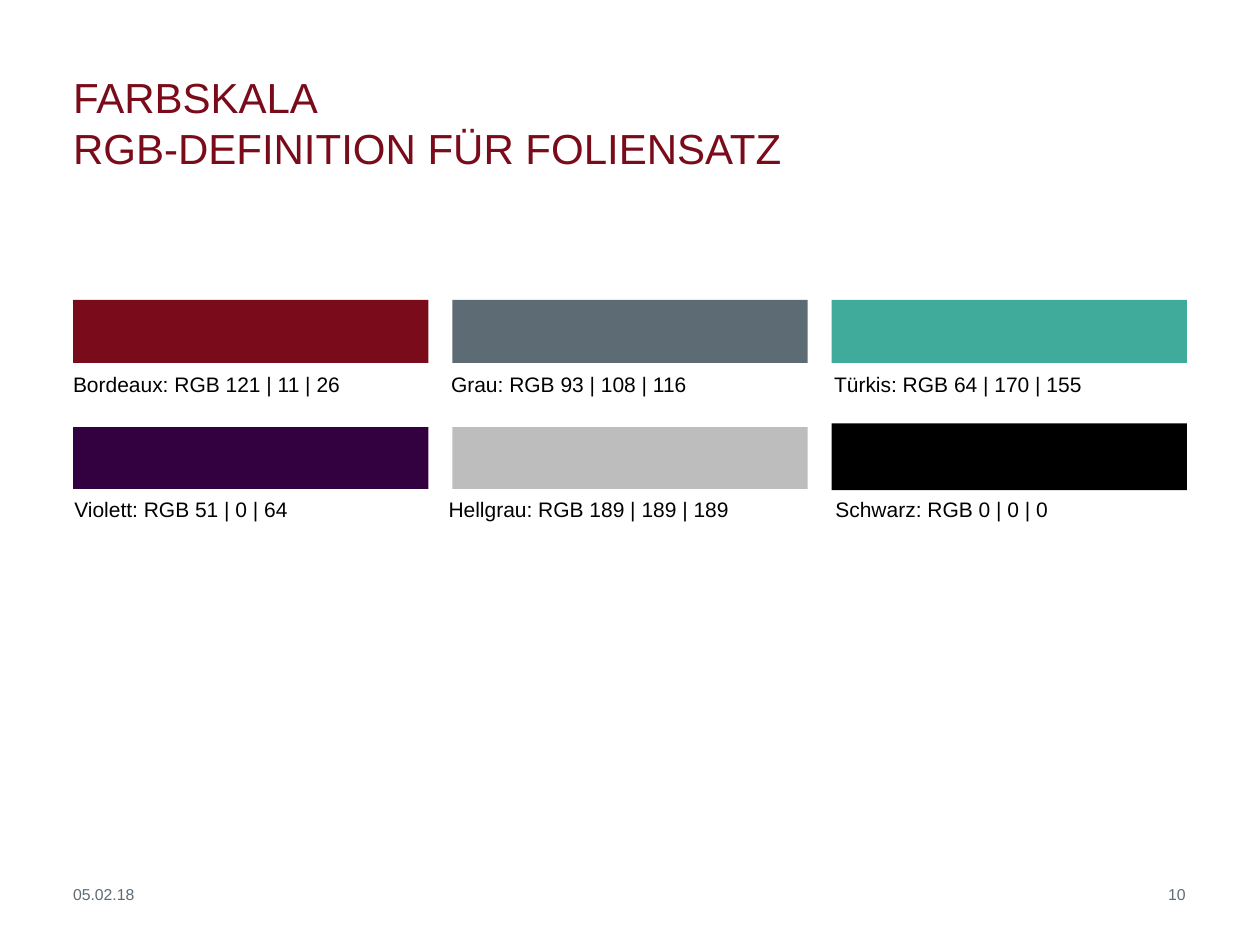
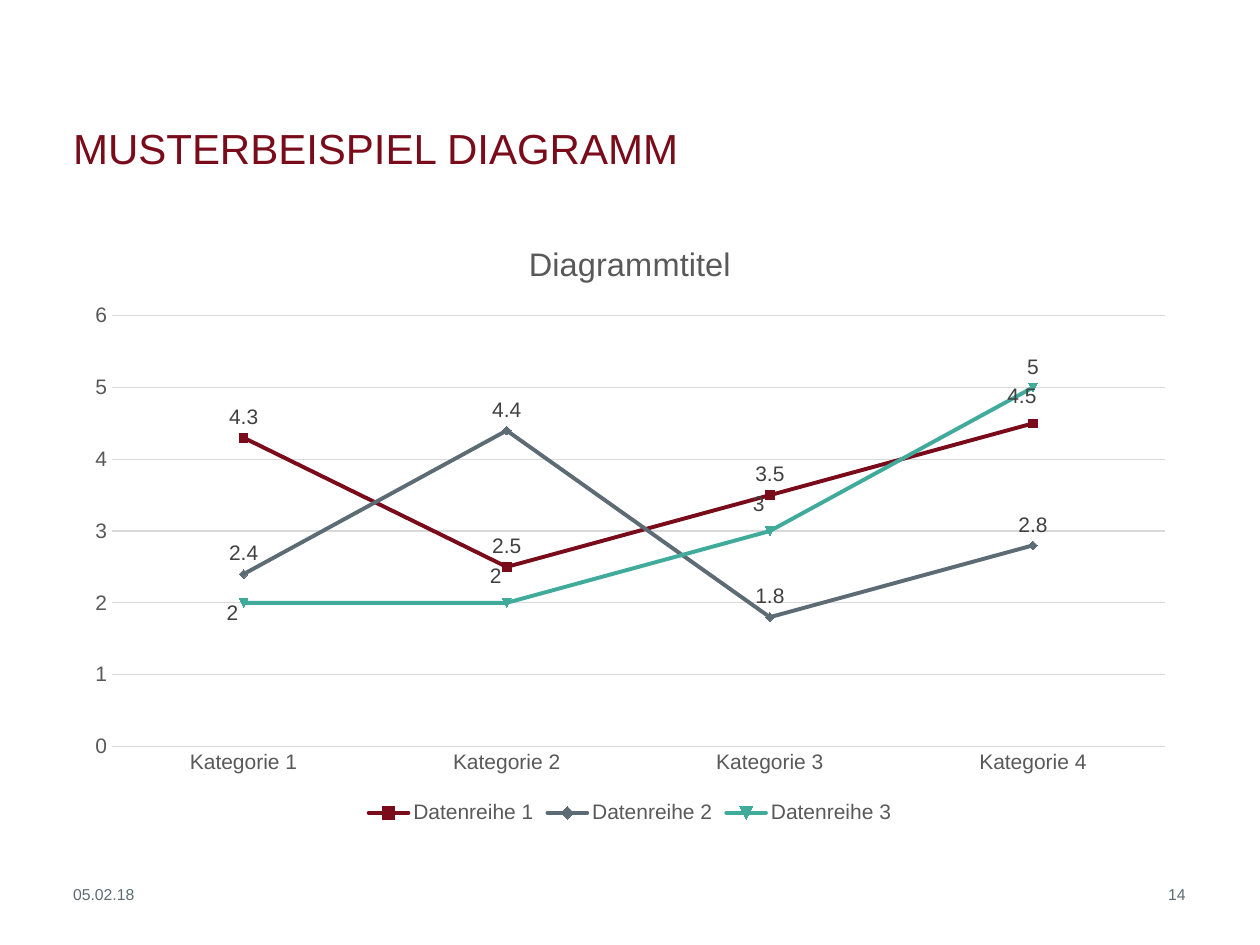
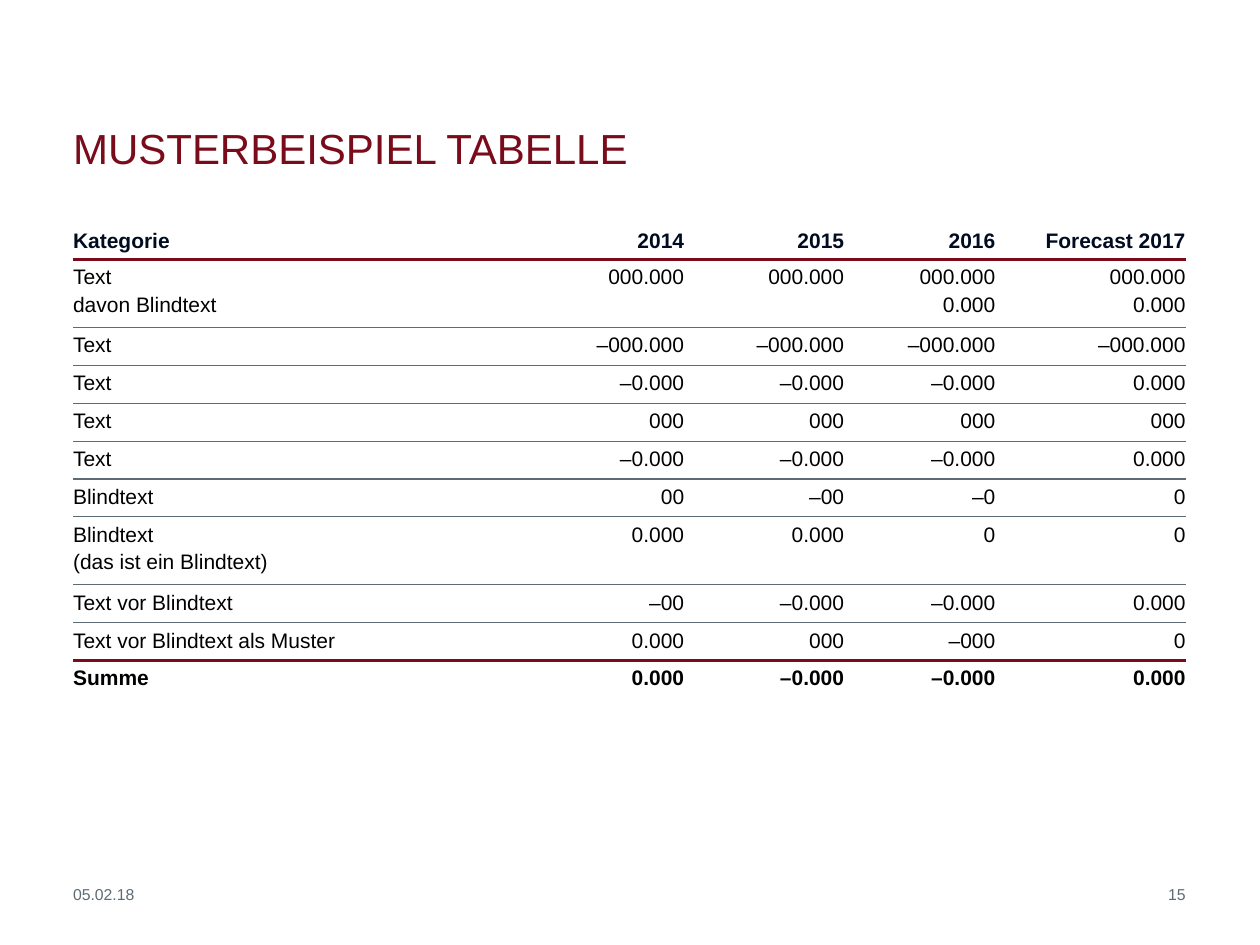
from lxml.etree import SubElement
from pptx import Presentation
from pptx.chart.data import CategoryChartData
from pptx.dml.color import RGBColor
from pptx.enum.chart import XL_CHART_TYPE, XL_LABEL_POSITION, XL_LEGEND_POSITION, XL_TICK_MARK
from pptx.enum.shapes import MSO_SHAPE
from pptx.enum.text import MSO_ANCHOR, PP_ALIGN
from pptx.oxml import parse_xml
from pptx.oxml.ns import nsdecls, qn
from pptx.util import Inches, Pt

# Shared look
HUES = {
    "wine": "790B1A", "slate": "5D6C74", "teal": "40AA9B",
    "plum": "330040", "silver": "BDBDBD", "black": "000000",
    "navy": "000C20", "text": "595959", "label": "404040", "grid": "D9D9D9",
}
FONT = "Arial"
DATE = "05.02.18"
TITLE = (0.58, 0.52, 7.15, 0.85)
STAMP = (0.58, 7.02, 2.09, 0.2)
PAGE = (7.42, 7.02, 1.99, 0.2)


def hue(name):
    return RGBColor.from_string(HUES[name])


def apply(item, values):
    for name, value in values.items():
        setattr(item, name, value)


def style(font, size, color, bold=False):
    apply(font, {"name": FONT, "size": Pt(size), "bold": bold})
    font.color.rgb = hue(color)


def inch(box):
    return [Inches(v) for v in box]


def write(slide, box, text, size, color, anchor=MSO_ANCHOR.TOP, **para):
    frame = slide.shapes.add_textbox(*inch(box)).text_frame
    apply(frame, {"word_wrap": True, "vertical_anchor": anchor, "margin_left": 0,
                  "margin_right": 0, "margin_top": 0, "margin_bottom": 0})
    frame.text = text
    first = frame.paragraphs[0]
    apply(first, para)
    for run in first.runs:
        style(run.font, size, color)
    return first


def start(deck, title, page):
    slide = deck.slides.add_slide(deck.slide_layouts[6])
    write(slide, PAGE, page, 9, "slate", alignment=PP_ALIGN.RIGHT)
    write(slide, STAMP, DATE, 9, "slate")
    write(slide, TITLE, title, 24, "wine", MSO_ANCHOR.BOTTOM)
    return slide


# Colour scale
def swatch(slide, box, color):
    rect = slide.shapes.add_shape(MSO_SHAPE.RECTANGLE, *inch(box))
    rect.shadow.inherit = False
    rect.fill.solid()
    rect.fill.fore_color.rgb = hue(color)
    rect.line.fill.background()


def caption(slide, box, names, lead, stops):
    para = write(slide, box, "\t".join(names), 12, "black", line_spacing=Pt(lead))
    tabs = SubElement(para._p.get_or_add_pPr(), qn("a:tabLst"))
    for stop in stops:
        SubElement(tabs, qn("a:tab"), pos=str(Inches(stop)), algn="l")


def scale(slide, box):
    left, top, width, _ = box
    gap = 0.19
    wide = (width - 2 * gap) / 3
    bars = [
        [("wine", 0, 0.5), ("slate", 0, 0.5), ("teal", 0, 0.5)],
        [("plum", 1.01, 0.49), ("silver", 1.01, 0.49), ("black", 0.98, 0.53)],
    ]
    for row in bars:
        for col, (color, down, high) in enumerate(row):
            swatch(slide, (left + col * (wide + gap), top + down, wide, high), color)
    caption(slide, (left, top + 0.41, width, 0.36),
            ["Bordeaux: RGB 121 | 11 | 26", "Grau: RGB 93 | 108 | 116",
             "Türkis: RGB 64 | 170 | 155"], 26, (3, 6.04))
    caption(slide, (left + 0.01, top + 1.52, width, 0.24),
            ["Violett: RGB 51 | 0 | 64", "Hellgrau: RGB 189 | 189 | 189",
             "Schwarz: RGB 0 | 0 | 0"], 17.2, (2.97, 6.04))


# Line chart
def layout(x, y, extra=""):
    return parse_xml(f'<c:layout {nsdecls("c")}><c:manualLayout>{extra}'
                     f'<c:x val="{x}"/><c:y val="{y}"/></c:manualLayout></c:layout>')


def frame_plot(chart, x, y, w, h):
    modes = ('<c:layoutTarget val="inner"/><c:xMode val="edge"/><c:yMode val="edge"/>')
    area = chart._chartSpace.find(".//" + qn("c:plotArea"))
    for old in area.findall(qn("c:layout")):
        area.remove(old)
    node = layout(x, y, modes)
    for tag, size in (("c:w", w), ("c:h", h)):
        SubElement(node[0], qn(tag), val=str(size))
    area.insert(0, node)


def draw_line(line, color, width):
    line.color.rgb = hue(color)
    line.width = Pt(width)


def trace(series, color, shifts):
    series.smooth = False
    series.marker.style = None
    draw_line(series.format.line, color, 2.25)
    series._element.find(".//" + qn("a:ln")).set("cap", "rnd")
    above = XL_LABEL_POSITION.ABOVE
    labels = series.data_labels
    apply(labels, {"show_value": True, "position": above})
    style(labels.font, 12, "label")
    for point in shifts:
        label = series.points[point].data_label
        label.position = above
        style(label.font, 12, "label")
    for node, shift in zip(series._element.iter(qn("c:dLbl")), shifts.values()):
        node.insert(1, layout(*shift))


def graph(slide, box):
    data = CategoryChartData()
    data.categories = [f"Kategorie {n}" for n in range(1, 5)]
    rows = [
        ("wine", (4.3, 2.5, 3.5, 4.5), {3: (-0.01, -0.01)}),
        ("slate", (2.4, 4.4, 1.8, 2.8), {}),
        ("teal", (2, 2, 3, 5), {0: (-0.01, 0.05), 1: (-0.01, -0.01), 2: (-0.01, -0.01)}),
    ]
    for n, (_, values, _) in enumerate(rows, 1):
        data.add_series(f"Datenreihe {n}", values)
    chart = slide.shapes.add_chart(XL_CHART_TYPE.LINE, *inch(box), data).chart
    style(chart.font, 10, "black")
    chart.has_title = True
    chart.chart_title.include_in_layout = False
    chart.chart_title.text_frame.text = "Diagrammtitel"
    style(chart.chart_title.text_frame.paragraphs[0].runs[0].font, 18.6, "text")
    chart.has_legend = True
    apply(chart.legend, {"position": XL_LEGEND_POSITION.BOTTOM, "include_in_layout": False})
    style(chart.legend.font, 12, "text")

    across, up = chart.category_axis, chart.value_axis
    for axis in (across, up):
        apply(axis, {"major_tick_mark": XL_TICK_MARK.NONE, "minor_tick_mark": XL_TICK_MARK.NONE})
        style(axis.tick_labels.font, 12, "text")
    draw_line(across.format.line, "grid", 0.75)
    apply(up, {"minimum_scale": 0, "maximum_scale": 6, "major_unit": 1})
    up.format.line.fill.background()
    draw_line(up.major_gridlines.format.line, "grid", 0.75)

    plot = chart.plots[0]
    plot.vary_by_categories = False
    for series, (color, _, shifts) in zip(plot.series, rows):
        trace(series, color, shifts)
    frame_plot(chart, 0.035, 0.16, 0.945, 0.705)


# Table
ROWS = [
    ("Kategorie", "2014", "2015", "2016", "Forecast 2017"),
    ("Text\ndavon Blindtext", "000.000", "000.000", "000.000\n0.000", "000.000\n0.000"),
    ("Text", "–000.000", "–000.000", "–000.000", "–000.000"),
    ("Text", "–0.000", "–0.000", "–0.000", "0.000"),
    ("Text", "000", "000", "000", "000"),
    ("Text", "–0.000", "–0.000", "–0.000", "0.000"),
    ("Blindtext", "00", "–00", "–0", "0"),
    ("Blindtext\n(das ist ein Blindtext)", "0.000", "0.000", "0", "0"),
    ("Text vor Blindtext", "–00", "–0.000", "–0.000", "0.000"),
    ("Text vor Blindtext als Muster", "0.000", "000", "–000", "0"),
    ("Summe", "0.000", "–0.000", "–0.000", "0.000"),
]
COLS = (3.95, 1, 1.27, 1.2, 1.41)
PLAIN = "{2D5ABB26-0587-4C30-8999-92F81FD0307C}"


def rule(cell, side, color, width):
    line = SubElement(cell._tc.get_or_add_tcPr(), qn(side), w=str(Pt(width)))
    fill = SubElement(line, qn("a:solidFill"))
    SubElement(fill, qn("a:srgbClr"), val=HUES[color])


def edge(row):
    return ("wine", 1.5) if row in (0, len(ROWS) - 2) else ("slate", 0.75)


def fill_cell(cell, text, row, col):
    last = len(ROWS) - 1
    pad = 0 if col in (0, len(COLS) - 1) else Inches(0.1)
    head = row == 0
    apply(cell, {"margin_left": pad, "margin_right": pad, "margin_top": Inches(0.05),
                 "margin_bottom": Inches(0.05), "text": text,
                 "vertical_anchor": MSO_ANCHOR.BOTTOM if head else MSO_ANCHOR.TOP})
    if row > 0:
        rule(cell, "a:lnT", *edge(row - 1))
    if row < last:
        rule(cell, "a:lnB", *edge(row))
    cell.fill.background()
    for n, para in enumerate(cell.text_frame.paragraphs):
        para.alignment = PP_ALIGN.RIGHT if col else PP_ALIGN.LEFT
        para.space_before = Pt(2.4 if n else 0)
        style(para.runs[0].font, 12, "navy" if head else "black", row in (0, last))


def sheet(slide, box):
    grid = slide.shapes.add_table(len(ROWS), len(COLS), *inch(box)).table
    apply(grid, {"first_row": False, "horz_banding": False})
    grid._tbl.tblPr.find(qn("a:tableStyleId")).text = PLAIN
    for column, width in zip(grid.columns, COLS):
        column.width = Inches(width)
    for r, texts in enumerate(ROWS):
        tall = any("\n" in text for text in texts)
        grid.rows[r].height = Inches(0.54 if tall else 0.3 if r else 0.32)
        for c, text in enumerate(texts):
            fill_cell(grid.cell(r, c), text, r, c)


def main():
    deck = Presentation()
    apply(deck, {"slide_width": Inches(10), "slide_height": Inches(7.5)})
    scale(start(deck, "FARBSKALA\vRGB-DEFINITION FÜR FOLIENSATZ", "10"),
          (0.58, 2.38, 8.84, 1.76))
    graph(start(deck, "MUSTERBEISPIEL DIAGRAMM", "14"), (0.58, 1.73, 8.84, 4.85))
    sheet(start(deck, "MUSTERBEISPIEL TABELLE", "15"), (0.58, 1.74, 8.83, 3.8))
    deck.save("out.pptx")


if __name__ == "__main__":
    main()
